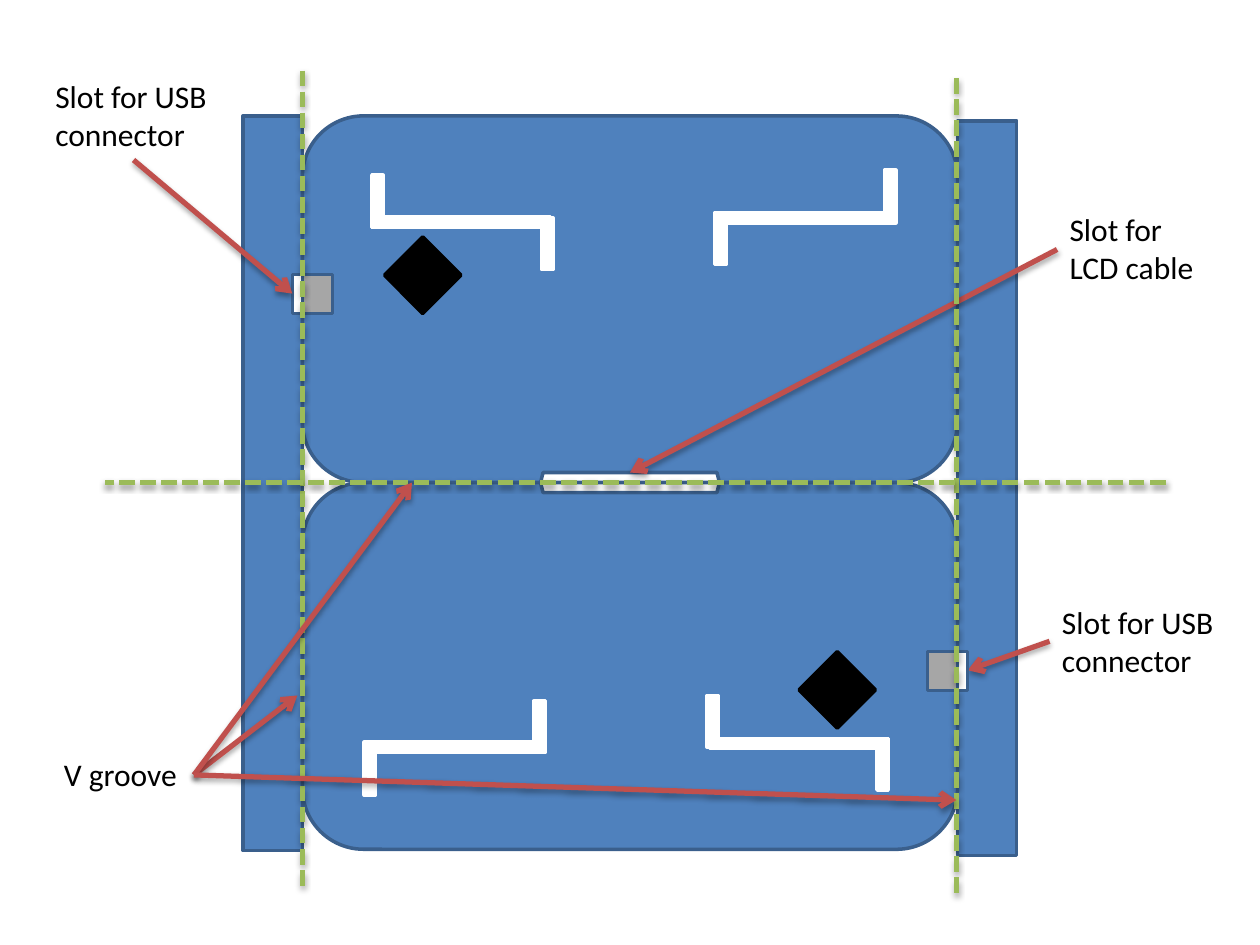
from lxml import etree
from pptx import Presentation
from pptx import util as u
from pptx.dml import color
from pptx.enum import dml, shapes, text
from pptx.oxml import ns

BOARD, EDGE, ARROW, GROOVE = "4F81BD", "3A5F8C", "C0504D", "9BBB59"
WHITE, BLACK, GREY = "FFFFFF", "000000", "A6A6A6"
KIND = shapes.MSO_SHAPE
WIDTH, PANEL_HEIGHT_SUM = 10, 7.66

BOARD_PARTS = [
    (KIND.ROUNDED_RECTANGLE, (2.4, 0.92, 5.2, 2.91), 0, BOARD, EDGE),
    (KIND.TRAPEZOID, (4.29, 3.75, 1.42, 0.08), 0, WHITE, EDGE),
    (KIND.RECTANGLE, (2.4, 2.18, 0.24, 0.31), 0, GREY, EDGE),
    (KIND.RECTANGLE, (2.32, 2.18, 0.08, 0.31), 0, WHITE, EDGE),
    (KIND.RECTANGLE, (3.14, 1.97, 0.43, 0.43), 45, BLACK, BLACK),
]
CLIP_SLOTS = [
    (2.95, 1.39, 0.09, 0.41), (2.95, 1.72, 1.42, 0.08), (4.3, 1.73, 0.09, 0.41),
    (7.02, 1.35, 0.09, 0.41), (5.69, 1.69, 1.42, 0.08), (5.67, 1.69, 0.09, 0.41),
]


def rgb(value):
    return color.RGBColor.from_string(value)


def set_all(target, values):
    for name, value in values.items():
        setattr(target, name, value)


def add_part(parent, kind, area, turn, fill, edge):
    part = parent.add_shape(kind, *map(u.Inches, area))
    part.shadow.inherit = False
    part.rotation = turn
    part.fill.solid()
    part.fill.fore_color.rgb = rgb(fill)
    part.line.color.rgb = rgb(edge)
    part.line.width = u.Pt(2)


def add_board(page, turned=False):
    group = page.shapes.add_group_shape()
    slots = [(KIND.RECTANGLE, area, 0, WHITE, WHITE) for area in CLIP_SLOTS]
    for kind, area, turn, fill, edge in BOARD_PARTS + slots:
        if turned:
            left, top, width, height = area
            area = (WIDTH - left - width, PANEL_HEIGHT_SUM - top - height, width, height)
            turn += 180
        add_part(group.shapes, kind, area, turn, fill, edge)


def add_shadow(line):
    effects = etree.SubElement(line._element.spPr, ns.qn("a:effectLst"))
    shadow = etree.SubElement(effects, ns.qn("a:outerShdw"), blurRad="40000",
                              dist="23000", dir="5400000", rotWithShape="0")
    tint = etree.SubElement(shadow, ns.qn("a:srgbClr"), val=BLACK)
    etree.SubElement(tint, ns.qn("a:alpha"), val="35000")


def add_line(page, start, end, tone):
    line = page.shapes.add_connector(
        shapes.MSO_CONNECTOR.STRAIGHT, *map(u.Inches, start + end))
    line.line.color.rgb = rgb(tone)
    line.line.width = u.Pt(3)
    add_shadow(line)
    return line


def add_arrow(page, start, end):
    arrow = add_line(page, start, end, ARROW)
    etree.SubElement(arrow.line._get_or_add_ln(), ns.qn("a:tailEnd"), type="arrow")


def add_groove(page, start, end):
    groove = add_line(page, start, end, GROOVE)
    groove.line.dash_style = dml.MSO_LINE.SQUARE_DOT


def add_label(page, area, words, align=text.PP_ALIGN.LEFT):
    box = page.shapes.add_textbox(*map(u.Inches, area))
    set_all(box.text_frame, {"word_wrap": True,
                             "auto_size": text.MSO_AUTO_SIZE.SHAPE_TO_FIT_TEXT})
    para = box.text_frame.paragraphs[0]
    para.alignment = align
    span = para.add_run()
    span.text = words
    set_all(span.font, {"name": "Calibri", "size": u.Pt(18)})
    span.font.color.rgb = rgb(BLACK)


def main():
    deck = Presentation()
    set_all(deck, {"slide_width": u.Inches(WIDTH), "slide_height": u.Inches(7.5)})
    page = deck.slides.add_slide(deck.slide_layouts[6])

    def add_rail(left, top):
        add_part(page.shapes, KIND.RECTANGLE, (left, top, 0.47, 5.83), 0, BOARD, EDGE)

    add_rail(1.93, 0.92)
    add_board(page)
    add_rail(7.6, 0.96)
    for start, end in [((1.06, 1.27), (2.32, 2.33)), ((8.33, 5.09), (7.68, 5.32)),
                       ((8.39, 1.98), (5, 3.75))]:
        add_arrow(page, start, end)
    for area, words in [((8.39, 1.62, 1.34, 0.71), "Slot for LCD cable"),
                        ((8.33, 4.74, 1.45, 0.71), "Slot for USB connector"),
                        ((0.34, 0.56, 1.45, 0.71), "Slot for USB connector")]:
        add_label(page, area, words)

    add_board(page, turned=True)
    groove_source = (1.54, 6.15)
    add_arrow(page, groove_source, (2.36, 5.52))
    add_label(page, (0.37, 5.94, 1.17, 0.4), "V groove", text.PP_ALIGN.CENTER)
    for start, end in [((2.4, 0.56), (2.4, 7.06)), ((7.59, 0.62), (7.59, 7.12)),
                       ((9.25, 3.83), (0.83, 3.83))]:
        add_groove(page, start, end)
    for end in [(3.27, 3.83), (7.59, 6.35)]:
        add_arrow(page, groove_source, end)
    deck.save("out.pptx")


main()
